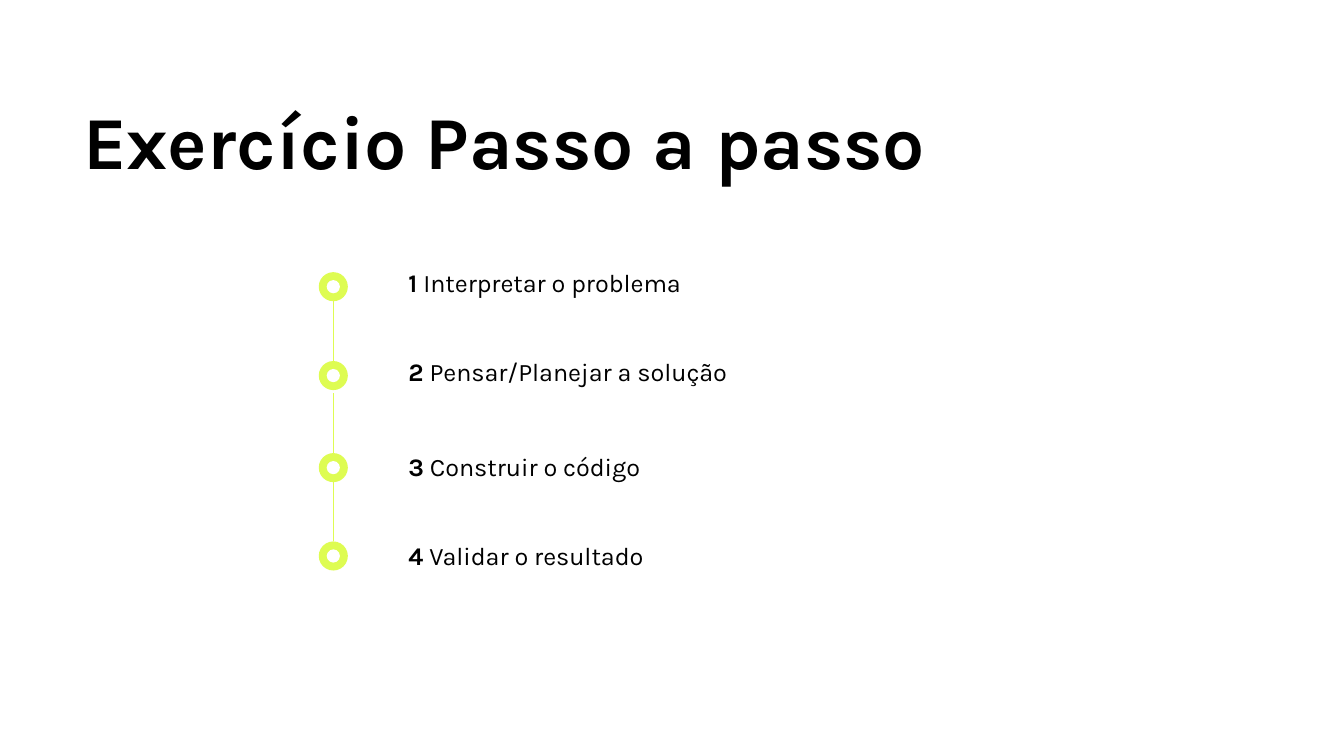
from dataclasses import dataclass

from lxml.etree import SubElement
from pptx import Presentation
from pptx.dml.color import RGBColor
from pptx.enum.shapes import MSO_CONNECTOR as Connector, MSO_SHAPE as Shape
from pptx.enum.text import MSO_AUTO_SIZE as AutoSize
from pptx.oxml.ns import qn
from pptx.util import Cm, Pt


@dataclass(frozen=True)
class Theme:
    font: str = "Karla"
    ink: RGBColor = RGBColor(0x00, 0x00, 0x00)
    paper: RGBColor = RGBColor(0xFF, 0xFF, 0xFF)
    accent: RGBColor = RGBColor(0xDE, 0xFC, 0x52)
    title_size: float = 40
    step_size: float = 13.5
    line_width: float = 0.75


class SlideBuilder:
    """Draws on one slide; all lengths are in centimetres."""

    def __init__(self, slide, theme):
        self.slide = slide
        self.theme = theme
        background = slide.background.fill
        background.solid()
        background.fore_color.rgb = theme.paper

    def text(self, left, top, width, height, size):
        """Adds an empty text box and returns its styled paragraph."""
        box = self.slide.shapes.add_textbox(Cm(left), Cm(top), Cm(width), Cm(height))
        frame = box.text_frame
        frame.word_wrap = True
        frame.auto_size = AutoSize.SHAPE_TO_FIT_TEXT
        frame.margin_left = frame.margin_right = Cm(0.25)
        frame.margin_top = frame.margin_bottom = Cm(0.25)
        paragraph = frame.paragraphs[0]
        paragraph.font.name = self.theme.font
        paragraph.font.size = Pt(size)
        paragraph.font.color.rgb = self.theme.ink
        return paragraph

    def title(self, words):
        heading = self.text(1.32, 1.73, 22.6, 2.06, self.theme.title_size)
        heading.line_spacing = 0.9
        heading.font.bold = True
        heading.add_run().text = words

    def step(self, number, words, top):
        label = self.text(7.47, top, 11.9, 1.09, self.theme.step_size)
        digit = label.add_run()
        digit.text = str(number)
        digit.font.bold = True
        label.add_run().text = f" {words}"

    def ring(self, x, y, diameter, hole):
        group = self.slide.shapes.add_group_shape()
        for size, color in ((diameter, self.theme.accent), (hole, self.theme.paper)):
            disc = group.shapes.add_shape(
                Shape.OVAL, Cm(x - size / 2), Cm(y - size / 2), Cm(size), Cm(size))
            disc.shadow.inherit = False
            disc.fill.solid()
            disc.fill.fore_color.rgb = color
            disc.line.fill.background()

    def vertical_line(self, x, top, bottom):
        link = self.slide.shapes.add_connector(
            Connector.STRAIGHT, Cm(x), Cm(top), Cm(x), Cm(bottom))
        link.line.color.rgb = self.theme.accent
        link.line.width = Pt(self.theme.line_width)
        SubElement(link._element.spPr, qn("a:effectLst"))


# Step wording, centre of its ring, top of its label
STEPS = [
    ("Interpretar o problema", 5.42, 4.8),
    ("Pensar/Planejar a solução", 7.1, 6.48),
    ("Construir o código", 8.84, 8.28),
    ("Validar o resultado", 10.51, 9.96),
]
TIMELINE_X = 6.3
RING, HOLE = 0.55, 0.25
LINK_LENGTH = 1.13


def main():
    deck = Presentation()
    deck.slide_width, deck.slide_height = Cm(25.4), Cm(14.29)
    builder = SlideBuilder(deck.slides.add_slide(deck.slide_layouts[6]), Theme())

    builder.title("Exercício Passo a passo")
    for number, (words, ring_y, label_top) in enumerate(STEPS, start=1):
        builder.ring(TIMELINE_X, ring_y, RING, HOLE)
        if number > 1:
            ring_top = ring_y - RING / 2
            builder.vertical_line(TIMELINE_X, ring_top - LINK_LENGTH, ring_top)
        builder.step(number, words, label_top)

    deck.save("out.pptx")


if __name__ == "__main__":
    main()
